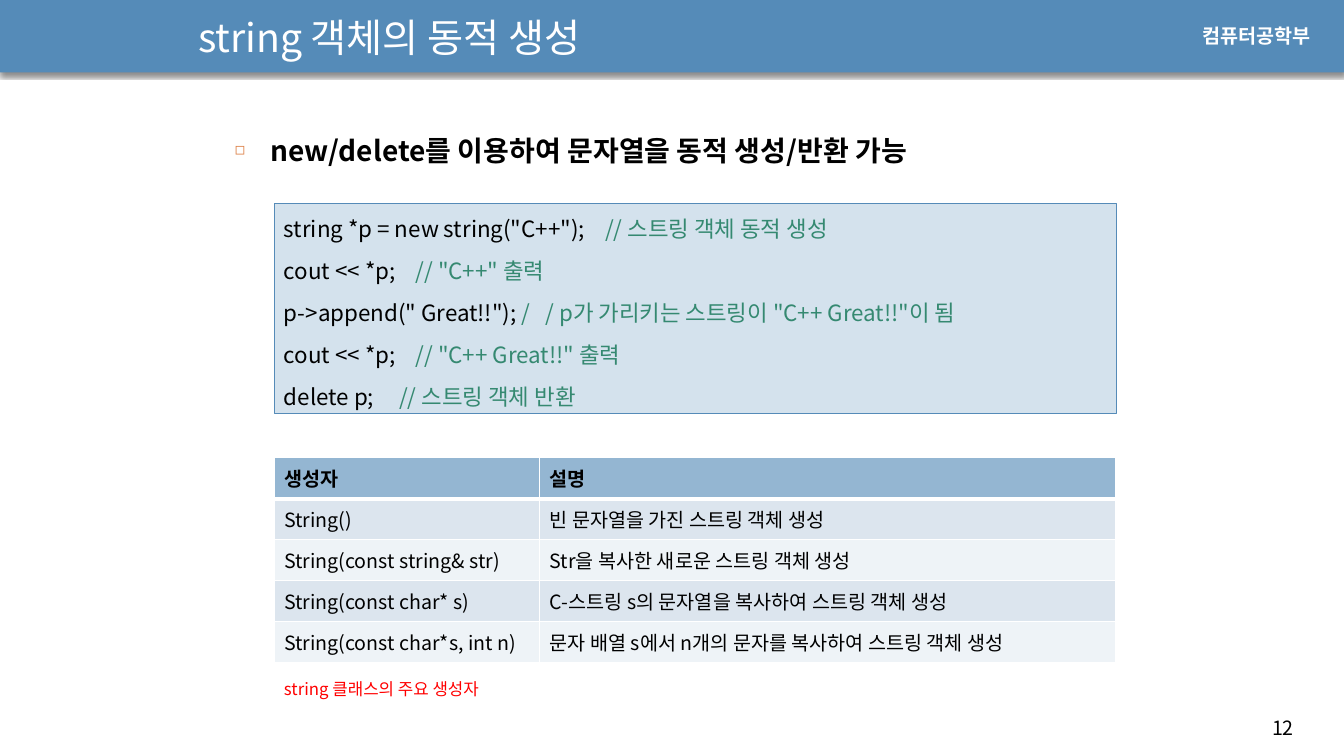
from dataclasses import dataclass

from lxml.etree import SubElement
from pptx import Presentation
from pptx.dml.color import RGBColor
from pptx.enum.shapes import MSO_SHAPE
from pptx.enum.text import MSO_ANCHOR, MSO_AUTO_SIZE, PP_ALIGN
from pptx.oxml import parse_xml
from pptx.oxml.ns import nsdecls, qn
from pptx.util import Emu, Pt


@dataclass(frozen=True)
class Theme:
    font: str = "Noto Sans CJK KR"
    department_font: str = "Arial"
    band: str = "558BB8"
    code_fill: str = "D4E2ED"
    header_fill: str = "94B6D2"
    odd_row: str = "DCE5EE"
    even_row: str = "EEF3F7"
    bullet: str = "DD8047"
    comment: str = "358971"
    caption: str = "FF0000"
    black: str = "000000"
    white: str = "FFFFFF"
    title_size: int = 28
    topic_size: int = 20
    code_size: int = 16
    small_size: int = 14
    caption_size: int = 12


theme = Theme()


def px(*lengths):
    return [Emu(length * 9525) for length in lengths]


def write(paragraph, text, size, color=theme.black, bold=False, font=theme.font):
    run = paragraph.add_run()
    run.text = text
    run.font.size = Pt(size)
    run.font.bold = bold
    run.font.name = font
    run.font.color.rgb = RGBColor.from_string(color)
    SubElement(run.font._element, qn("a:ea")).set("typeface", theme.font)


prs = Presentation()
prs.slide_width, prs.slide_height = px(1280, 720)
slide = prs.slides.add_slide(prs.slide_layouts[1])
shapes = slide.shapes

band = shapes.add_shape(MSO_SHAPE.RECTANGLE, *px(0, -1, 1280, 70))
band.fill.solid()
band.fill.fore_color.rgb = RGBColor.from_string(theme.band)
band.line.fill.background()
band.shadow.inherit = False
band._element.spPr.find(qn("a:effectLst")).append(parse_xml(
    f'<a:outerShdw {nsdecls("a")} blurRad="{Pt(3)}" dist="{Pt(2.4)}" dir="5400000" rotWithShape="0">'
    f'<a:srgbClr val="{theme.black}"><a:alpha val="45000"/></a:srgbClr></a:outerShdw>'))
shapes._spTree.remove(band._element)
shapes._spTree.insert(2, band._element)

labels = [
    ("12", (1202, 677, 68, 33), theme.small_size, theme.black, False, theme.font),
    ("컴퓨터공학부", (1136, 18, 131, 33), theme.small_size, theme.white, True, theme.department_font),
    ("string 클래스의 주요 생성자", (261, 642, 416, 29), theme.caption_size, theme.caption, False, theme.font),
]
for text, area, *style in labels:
    label = shapes.add_textbox(*px(*area)).text_frame
    label.word_wrap = True
    write(label.paragraphs[0], text, *style)

title = shapes.title
title.left, title.top, title.width, title.height = px(179, 5, 710, 60)
title.text_frame.auto_size = MSO_AUTO_SIZE.NONE
title.text_frame.vertical_anchor = MSO_ANCHOR.MIDDLE
heading = title.text_frame.paragraphs[0]
heading.alignment = PP_ALIGN.LEFT
write(heading, "string 객체의 동적 생성", theme.title_size, theme.white)

body = slide.placeholders[1]
body.left, body.top, body.width, body.height = px(214, 122, 1066, 529)
body.text_frame.auto_size = MSO_AUTO_SIZE.NONE
topic = body.text_frame.paragraphs[0]
topic_props = topic._p.get_or_add_pPr()
indent, = px(34)
topic_props.set("marL", str(indent))
topic_props.set("indent", str(-indent))
SubElement(SubElement(topic_props, qn("a:buClr")), qn("a:srgbClr")).set("val", theme.bullet)
SubElement(topic_props, qn("a:buSzPct")).set("val", "60000")
SubElement(topic_props, qn("a:buChar")).set("char", "◻")
topic.space_before = Pt(0)
topic.space_after = Pt(6)
write(topic, "new/delete를 이용하여 문자열을 동적 생성/반환 가능", theme.topic_size, bold=True)

code_box = shapes.add_shape(MSO_SHAPE.RECTANGLE, *px(261, 194, 802, 200))
code_box.shadow.inherit = False
code_box.fill.solid()
code_box.fill.fore_color.rgb = RGBColor.from_string(theme.code_fill)
code_box.line.color.rgb = RGBColor.from_string(theme.band)
code_box.line.width = Pt(0.75)
code = code_box.text_frame
code.word_wrap = True
code.vertical_anchor = MSO_ANCHOR.TOP
code_lines = [
    ('string *p = new string("C++");    ', "// 스트링 객체 동적 생성"),
    ("cout << *p;    ", '// "C++" 출력'),
    ('p->append(" Great!!"); ', '/   / p가 가리키는 스트링이 "C++ Great!!"이 됨'),
    ("cout << *p;    ", '// "C++ Great!!" 출력'),
    ("delete p;     ", "// 스트링 객체 반환"),
]
for number, (statement, comment) in enumerate(code_lines):
    line = code.add_paragraph() if number else code.paragraphs[0]
    line.alignment = PP_ALIGN.LEFT
    line.line_spacing = Pt(24)
    line.space_after = Pt(6)
    write(line, statement, theme.code_size)
    write(line, comment, theme.code_size, theme.comment)

constructors = [
    ("생성자", "설명"),
    ("String()", "빈 문자열을 가진 스트링 객체 생성"),
    ("String(const string& str)", "Str을 복사한 새로운 스트링 객체 생성"),
    ("String(const char* s)", "C-스트링 s의 문자열을 복사하여 스트링 객체 생성"),
    ("String(const char*s, int n)", "문자 배열 s에서 n개의 문자를 복사하여 스트링 객체 생성"),
]
table = shapes.add_table(len(constructors), 2, *px(261, 436, 802, 195)).table
table.first_row = table.horz_banding = False
table.columns[0].width, table.columns[1].width = px(253, 549)
for row, entries in enumerate(constructors):
    table.rows[row].height, = px(39)
    fill = theme.header_fill if row == 0 else (theme.even_row, theme.odd_row)[row % 2]
    for column, text in enumerate(entries):
        cell = table.cell(row, column)
        cell.vertical_anchor = MSO_ANCHOR.MIDDLE
        cell_props = cell._tc.get_or_add_tcPr()
        for side in "LRTB":
            under_header = (row, side) in [(0, "B"), (1, "T")]
            border = SubElement(cell_props, qn(f"a:ln{side}"), w=str(Pt(3 if under_header else 1)))
            SubElement(SubElement(border, qn("a:solidFill")), qn("a:srgbClr")).set("val", theme.white)
        cell.fill.solid()
        cell.fill.fore_color.rgb = RGBColor.from_string(fill)
        write(cell.text_frame.paragraphs[0], text, theme.small_size, bold=row == 0)

prs.save("out.pptx")
